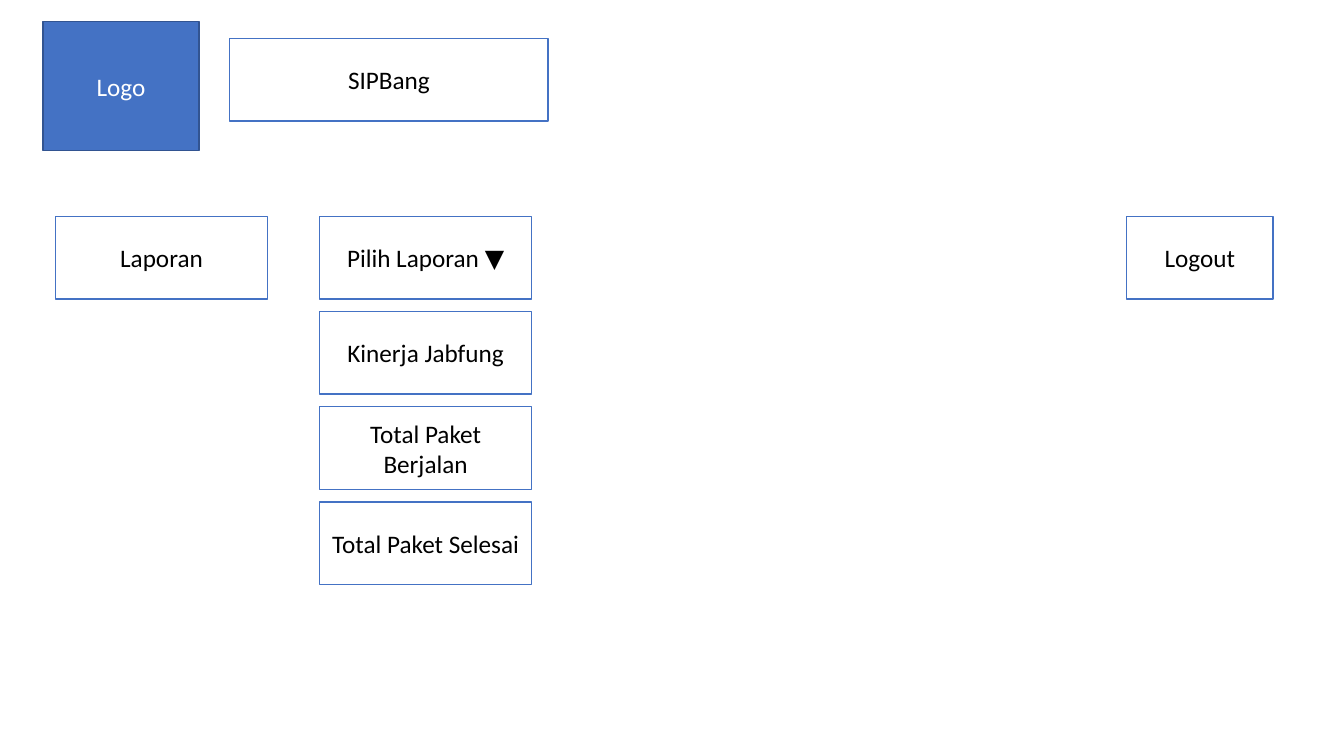
from dataclasses import dataclass

import pptx
import pptx.dml.color
import pptx.enum.shapes
import pptx.enum.text
import pptx.slide
import pptx.util

PX = pptx.util.Inches(1) // 200  # 200 px to the inch
COLOURS = {
    "blue": "4472C4",
    "navy": "325491",
    "white": "FFFFFF",
    "black": "000000",
}
FONT_FORMAT = {"name": "Calibri", "size": pptx.util.Pt(18)}

BUTTON_HEIGHT = 164
NAV_TOP = 429
MENU_LEFT, MENU_WIDTH, MENU_PITCH = 634, 421, 189
MENU_LABELS = (
    "Pilih Laporan ▼",
    "Kinerja Jabfung",
    "Total Paket Berjalan",
    "Total Paket Selesai",
)


@dataclass(frozen=True)
class Button:
    label: str
    left: int
    top: int
    width: int
    height: int = BUTTON_HEIGHT
    fill: str = "white"
    line: str = "blue"
    text: str = "black"


def rgb(name: str) -> pptx.dml.color.RGBColor:
    return pptx.dml.color.RGBColor.from_string(COLOURS[name])


def draw_button(page: pptx.slide.Slide, button: Button) -> None:
    bounds = (button.left, button.top, button.width, button.height)
    box = page.shapes.add_shape(
        pptx.enum.shapes.MSO_SHAPE.RECTANGLE, *(length * PX for length in bounds)
    )
    box.shadow.inherit = False
    box.fill.solid()
    box.fill.fore_color.rgb = rgb(button.fill)
    box.line.color.rgb = rgb(button.line)
    box.line.width = pptx.util.Pt(1)

    frame = box.text_frame
    frame.word_wrap = True
    frame.vertical_anchor = pptx.enum.text.MSO_ANCHOR.MIDDLE
    para = frame.paragraphs[0]
    para.alignment = pptx.enum.text.PP_ALIGN.CENTER
    span = para.add_run()
    span.text = button.label
    for attribute, value in FONT_FORMAT.items():
        setattr(span.font, attribute, value)
    span.font.color.rgb = rgb(button.text)


def main() -> None:
    deck = pptx.Presentation()
    deck.slide_width = 2667 * PX
    deck.slide_height = 1500 * PX
    page = deck.slides.add_slide(deck.slide_layouts[6])

    # Header and navigation bar
    buttons = [
        Button("Logo", 85, 43, 310, 256, fill="blue", line="navy", text="white"),
        Button("SIPBang", 456, 76, 632),
        Button("Logout", 2236, NAV_TOP, 290),
        Button("Laporan", 110, NAV_TOP, MENU_WIDTH),
    ]

    # Report menu, opened downwards
    buttons += [
        Button(label, MENU_LEFT, NAV_TOP + row * MENU_PITCH, MENU_WIDTH)
        for row, label in enumerate(MENU_LABELS)
    ]

    for button in buttons:
        draw_button(page, button)
    deck.save("out.pptx")


if __name__ == "__main__":
    main()
